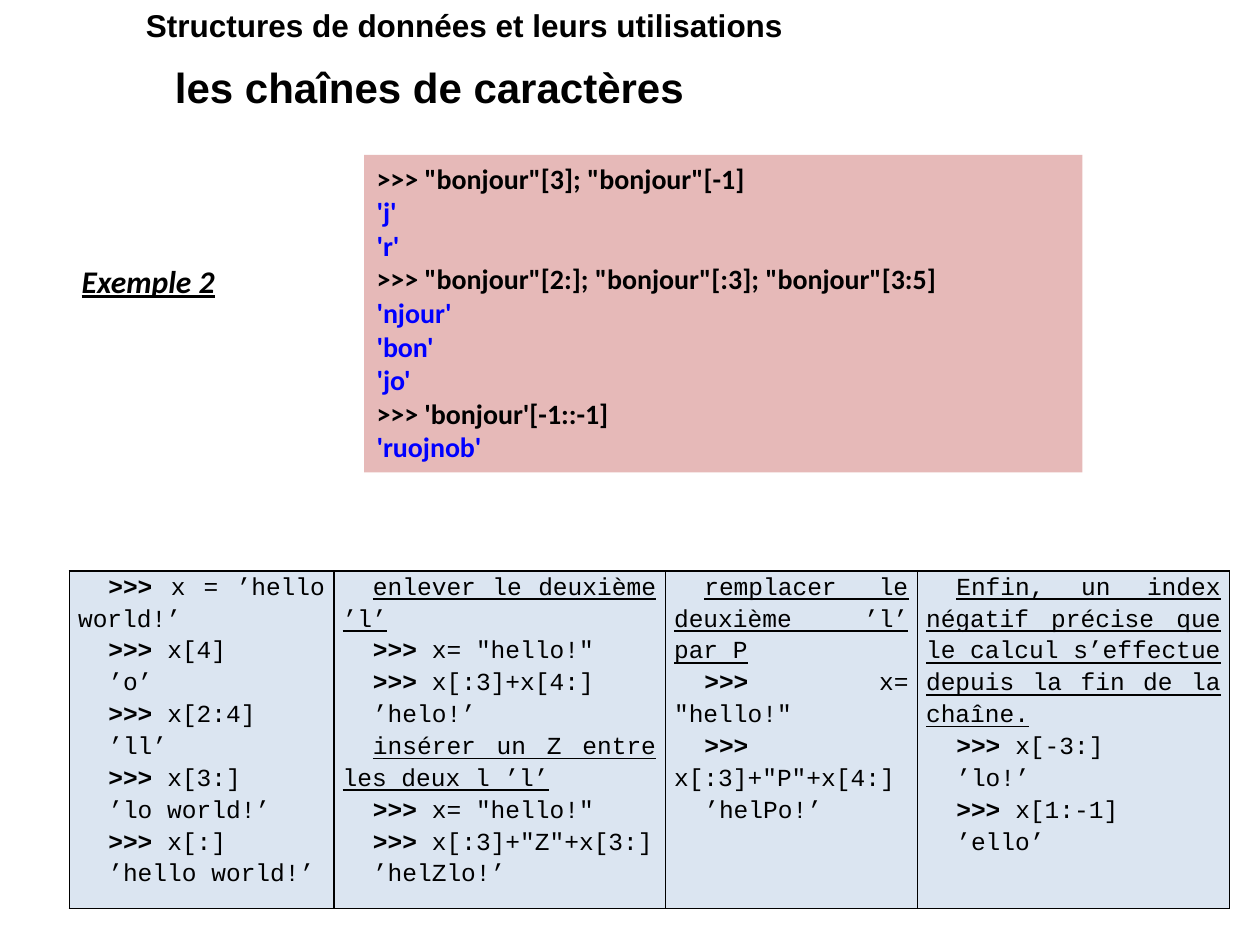
from dataclasses import dataclass

from lxml import etree
from pptx import Presentation
from pptx import util as u
from pptx.dml.color import RGBColor
from pptx.enum import shapes, text
from pptx.oxml import ns


@dataclass(frozen=True)
class Theme:
    black: str = "000000"
    output: str = "0000FF"
    console: str = "E6B9B8"
    cell: str = "DBE5F1"
    sans: str = "Arial"
    body: str = "Calibri"
    mono: str = "Courier New"
    title: int = 24
    label: int = 18
    console_size: int = 16
    code: int = 14


T = Theme()
PROMPT = ">>> "

CONSOLE = [
    '>>> "bonjour"[3]; "bonjour"[-1]',
    "'j'",
    "'r'",
    '>>> "bonjour"[2:]; "bonjour"[:3]; "bonjour"[3:5]',
    "'njour'",
    "'bon'",
    "'jo'",
    ">>> 'bonjour'[-1::-1]",
    "'ruojnob'",
]

# Each column: width, then its lines; a leading "_" marks an underlined heading
COLUMNS = [
    (2.1, [">>> x = ’hello world!’", ">>> x[4]", "’o’", ">>> x[2:4]", "’ll’",
           ">>> x[3:]", "’lo world!’", ">>> x[:]", "’hello world!’"]),
    (2.63, ["_enlever le deuxième ’l’", '>>> x= "hello!"', ">>> x[:3]+x[4:]",
            "’helo!’", "_insérer un Z entre les deux l ’l’",
            '>>> x= "hello!"', '>>> x[:3]+"Z"+x[3:]', "’helZlo!’"]),
    (2.0, ["_remplacer le deuxième ’l’ par P", '>>> x= "hello!"',
           '>>> x[:3]+"P"+x[4:]', "’helPo!’"]),
    (2.48, ["_Enfin, un index négatif précise que le calcul s’effectue "
            "depuis la fin de la chaîne.",
            ">>> x[-3:]", "’lo!’", ">>> x[1:-1]", "’ello’"]),
]


def set_font(font, name, size, color=T.black, bold=True):
    font.name = name
    font.size = u.Pt(size)
    font.bold = bold
    font.color.rgb = RGBColor.from_string(color)


def paragraphs(tf, lines):
    """Yield one paragraph per line, starting with the existing one."""
    for i, line in enumerate(lines):
        yield (tf.add_paragraph() if i else tf.paragraphs[0]), line


def add_label(s, box, words, name, size, anchor=text.MSO_ANCHOR.TOP):
    tf = s.shapes.add_textbox(*map(u.Inches, box)).text_frame
    tf.word_wrap = True
    tf.vertical_anchor = anchor
    p = tf.paragraphs[0]
    p.add_run().text = words
    set_font(p.font, name, size)
    return p


def add_console(s, box, lines):
    sp = s.shapes.add_shape(shapes.MSO_SHAPE.RECTANGLE, *map(u.Inches, box))
    sp.shadow.inherit = False
    sp.fill.solid()
    sp.fill.fore_color.rgb = RGBColor.from_string(T.console)
    sp.line.fill.background()
    tf = sp.text_frame
    tf.word_wrap = True
    tf.vertical_anchor = text.MSO_ANCHOR.TOP
    for p, line in paragraphs(tf, lines):
        p.alignment = text.PP_ALIGN.LEFT
        p.add_run().text = line
        color = T.black if line.startswith(PROMPT) else T.output
        set_font(p.font, T.body, T.console_size, color)


def set_borders(cell):
    tcPr = cell._tc.get_or_add_tcPr()
    for side in ("lnL", "lnR", "lnT", "lnB"):
        ln = etree.SubElement(tcPr, ns.qn(f"a:{side}"), w=str(u.Pt(1)))
        fill = etree.SubElement(ln, ns.qn("a:solidFill"))
        etree.SubElement(fill, ns.qn("a:srgbClr"), val=T.black)


def fill_cell(cell, lines):
    set_borders(cell)
    cell.fill.solid()
    cell.fill.fore_color.rgb = RGBColor.from_string(T.cell)
    cell.margin_left = cell.margin_right = u.Inches(0.07)
    cell.margin_top = cell.margin_bottom = 0
    for p, line in paragraphs(cell.text_frame, lines):
        p.alignment = text.PP_ALIGN.JUSTIFY
        p.line_spacing = 1.15
        p._p.get_or_add_pPr().set("indent", str(u.Inches(0.24)))
        set_font(p.font, T.mono, T.code, bold=False)
        if line.startswith(PROMPT):
            r = p.add_run()
            r.text = PROMPT
            r.font.bold = True
        r = p.add_run()
        r.text = line.removeprefix(PROMPT).removeprefix("_")
        if line.startswith("_"):
            r.font.underline = True


def add_code_table(s, left, top, height, columns):
    width = sum(w for w, _ in columns)
    box = map(u.Inches, (left, top, width, height))
    table = s.shapes.add_table(1, len(columns), *box).table
    table.first_row = table.horz_banding = False
    for i, (w, lines) in enumerate(columns):
        table.columns[i].width = u.Inches(w)
        fill_cell(table.cell(0, i), lines)


def main():
    prs = Presentation()
    prs.slide_width, prs.slide_height = u.Inches(10), u.Inches(7.5)
    s = prs.slides.add_slide(prs.slide_layouts[6])

    # Headings
    add_label(s, (1.06, 0, 8.94, 0.4),
              "Structures de données et leurs utilisations", T.sans, T.label)
    add_label(s, (1.29, 0.44, 8.87, 0.49), "les chaînes de caractères",
              T.sans, T.title, text.MSO_ANCHOR.MIDDLE)

    # Example and its console session
    p = add_label(s, (0.55, 2.03, 1.72, 0.44), "Exemple 2", T.body, T.label)
    p.font.italic = p.font.underline = True
    add_console(s, (2.89, 1.23, 5.7, 2.52), CONSOLE)

    # Further sessions side by side
    add_code_table(s, 0.55, 4.53, 2.68, COLUMNS)

    prs.save("out.pptx")


if __name__ == "__main__":
    main()
